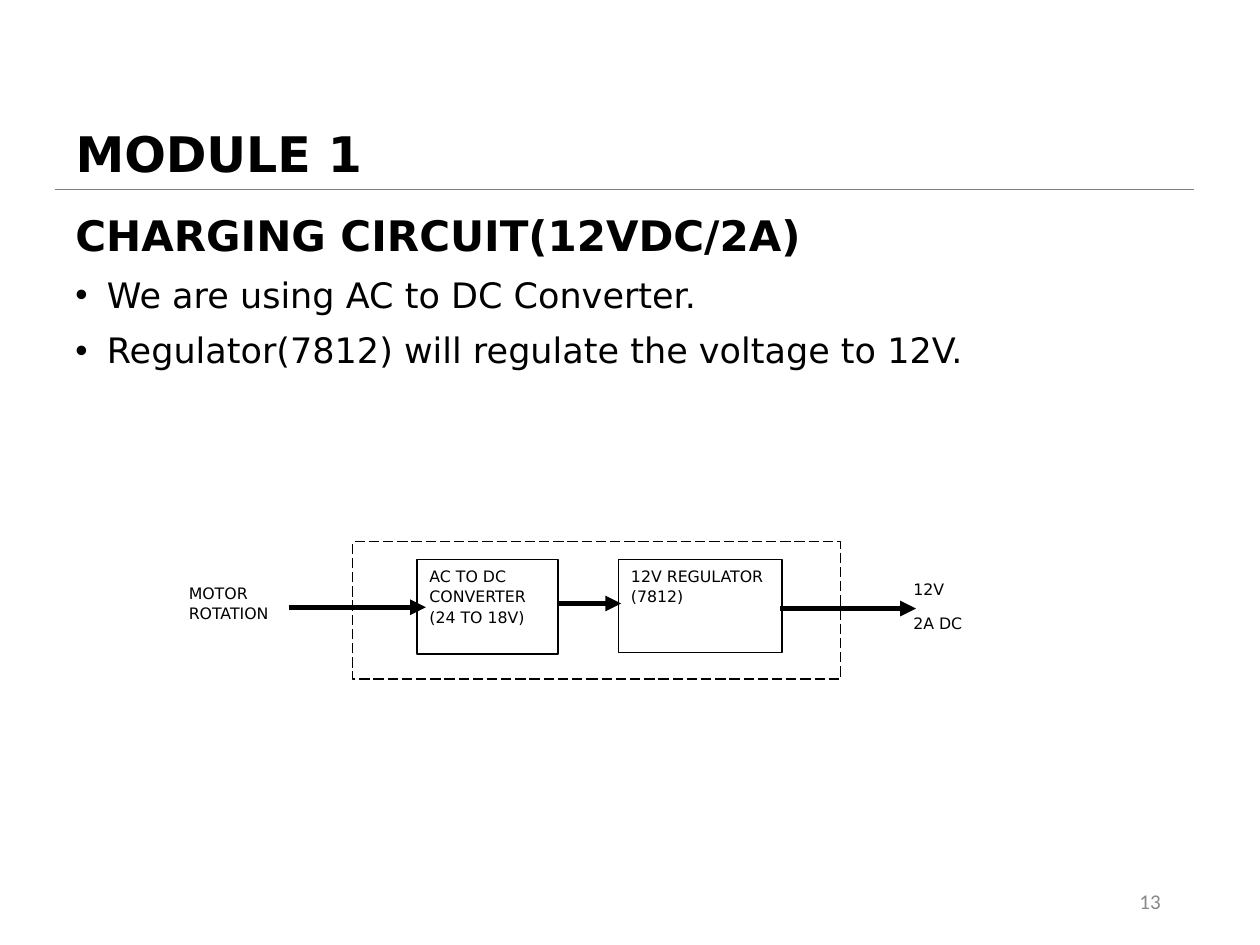
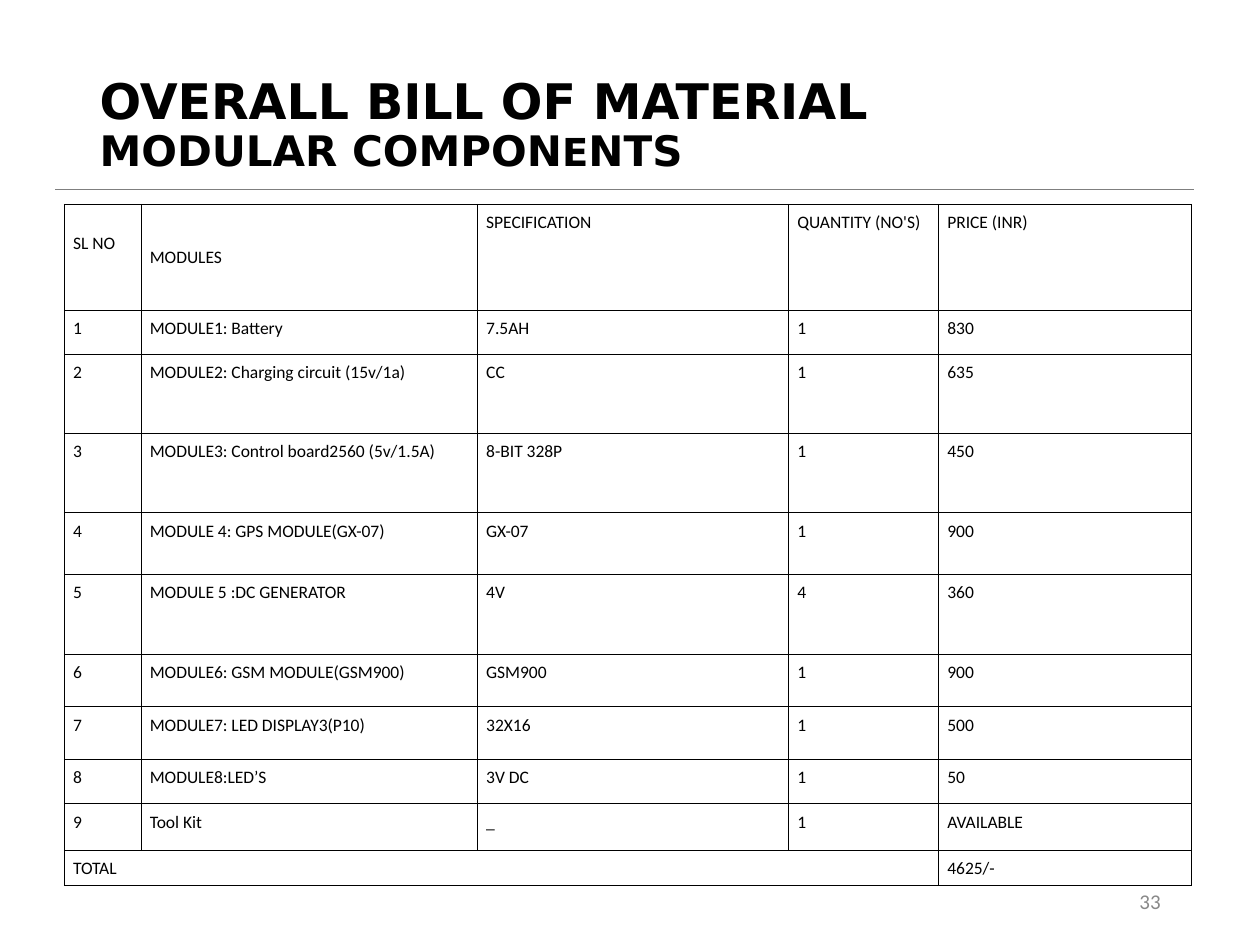
from dataclasses import dataclass

from lxml import etree
from pptx import Presentation
from pptx.dml.color import RGBColor
from pptx.enum.dml import MSO_LINE
from pptx.enum.shapes import MSO_CONNECTOR, MSO_SHAPE
from pptx.enum.text import MSO_ANCHOR, MSO_AUTO_SIZE, PP_ALIGN
from pptx.oxml.ns import qn
from pptx.util import Inches, Pt

LEFT, RIGHT, JUSTIFY = PP_ALIGN.LEFT, PP_ALIGN.RIGHT, PP_ALIGN.JUSTIFY
TOP, MIDDLE = MSO_ANCHOR.TOP, MSO_ANCHOR.MIDDLE
STRAIGHT, RECTANGLE, LONG_DASH = MSO_CONNECTOR.STRAIGHT, MSO_SHAPE.RECTANGLE, MSO_LINE.LONG_DASH
NO_AUTOFIT = MSO_AUTO_SIZE.NONE
TITLE_ONLY = 5


@dataclass(frozen=True)
class Theme:
    ink: RGBColor = RGBColor(0, 0, 0)
    paper: RGBColor = RGBColor(255, 255, 255)
    rule: RGBColor = RGBColor(0x7F, 0x7F, 0x7F)
    page_number: RGBColor = RGBColor(0x89, 0x89, 0x89)
    display_font: str = "DejaVu Sans"
    table_font: str = "Calibri"
    title_size: int = 28
    subtitle_size: int = 24
    small_capital_size: int = 22
    bullet_size: int = 20
    page_number_size: int = 12
    table_size: int = 10
    diagram_size: int = 9


THEME = Theme()
TIGHT = {"line_spacing": 0.9}
LOOSE = {"line_spacing": 1.07, "space_after": Pt(8)}

COLUMN_WIDTHS = [0.61, 2.67, 2.47, 1.19, 2.01]
ROW_HEIGHTS = [0.84, 0.35, 0.63, 0.63, 0.49, 0.63, 0.42, 0.42, 0.35, 0.37, 0.21]
MATERIALS = [
    ["SL NO", "MODULES", "SPECIFICATION", "QUANTITY (NO'S)", "PRICE (INR)"],
    ["1", "MODULE1: Battery", "7.5AH", "1", "830"],
    ["2", "MODULE2: Charging circuit (15v/1a)", "CC", "1", "635"],
    ["3", "MODULE3: Control board2560 (5v/1.5A)", "8-BIT 328P", "1", "450"],
    ["4", "MODULE 4: GPS MODULE(GX-07)", "GX-07", "1", "900"],
    ["5", "MODULE 5 :DC GENERATOR", "4V", "4", "360"],
    ["6", "MODULE6: GSM MODULE(GSM900)", "GSM900", "1", "900"],
    ["7", "MODULE7: LED DISPLAY3(P10)", "32X16", "1", "500"],
    ["8", "MODULE8:LED’S", "3V DC", "1", "50"],
    ["9", "Tool Kit", "_", "1", "AVAILABLE"],
    ["TOTAL", "", "", "", "4625/-"],
]


def apply_format(target, values):
    for name, value in values.items():
        setattr(target, name, value)


def box(left, top, width, height):
    return dict(zip(("left", "top", "width", "height"), map(Inches, (left, top, width, height))))


def add_run(paragraph, text, size, font=THEME.display_font, color=THEME.ink, bold=False):
    run = paragraph.add_run()
    run.text = text
    apply_format(run.font, {"name": font, "size": Pt(size), "bold": bold})
    run.font.color.rgb = color


def add_bullet(paragraph):
    properties = paragraph._p.get_or_add_pPr()
    properties.set("marL", str(Inches(0.25)))
    properties.set("indent", str(-Inches(0.25)))
    color = etree.SubElement(properties, qn("a:buClr"))
    etree.SubElement(color, qn("a:srgbClr")).set("val", str(THEME.ink))
    etree.SubElement(properties, qn("a:buFont")).set("typeface", "Arial")
    etree.SubElement(properties, qn("a:buChar")).set("char", "•")


def add_text_box(slide, bounds, anchor=TOP):
    frame = slide.shapes.add_textbox(*box(*bounds).values()).text_frame
    apply_format(frame, {"word_wrap": True, "vertical_anchor": anchor})
    return frame


def write_diagram_text(frame, lines):
    for index, line in enumerate(lines):
        paragraph = frame.add_paragraph() if index else frame.paragraphs[0]
        apply_format(paragraph, {"alignment": LEFT, **LOOSE})
        add_run(paragraph, line, THEME.diagram_size)


def add_rectangle(slide, bounds, line_width, fill=None, dash=None, label=None):
    shape = slide.shapes.add_shape(RECTANGLE, *box(*bounds).values())
    shape.shadow.inherit = False
    if fill is None:
        shape.fill.background()
    else:
        shape.fill.solid()
        shape.fill.fore_color.rgb = fill
    shape.line.color.rgb = THEME.ink
    apply_format(shape.line, {"width": Pt(line_width), "dash_style": dash})
    if label:
        apply_format(shape.text_frame, {"word_wrap": True, "vertical_anchor": TOP})
        write_diagram_text(shape.text_frame, [label])


def add_horizontal_line(slide, start, end, height, color, width, arrow=False):
    connector = slide.shapes.add_connector(
        STRAIGHT, Inches(start), Inches(height), Inches(end), Inches(height))
    connector.line.color.rgb = color
    connector.line.width = Pt(width)
    properties = connector.element.spPr
    if arrow:
        etree.SubElement(properties.find(qn("a:ln")), qn("a:tailEnd")).set("type", "triangle")
    etree.SubElement(properties, qn("a:effectLst"))


def add_titled_slide(presentation, title_bounds, title_lines, page_number):
    slide = presentation.slides.add_slide(presentation.slide_layouts[TITLE_ONLY])
    add_horizontal_line(slide, 0.44, 9.48, 1.5, THEME.rule, 0.5)
    title = slide.shapes.title
    apply_format(title, box(*title_bounds))
    apply_format(title.text_frame, {
        "word_wrap": True, "vertical_anchor": MIDDLE, "auto_size": NO_AUTOFIT})
    paragraph = title.text_frame.paragraphs[0]
    apply_format(paragraph, {"alignment": LEFT, **TIGHT})
    for index, line in enumerate(title_lines):
        if index:
            paragraph.add_line_break()
        for text, size in line:
            add_run(paragraph, text, size, bold=True)
    number = add_text_box(slide, (7.06, 6.95, 2.25, 0.4), MIDDLE).paragraphs[0]
    number.alignment = RIGHT
    add_run(number, page_number, THEME.page_number_size, THEME.table_font, THEME.page_number)
    return slide


def add_heading_with_bullets(slide, bounds, heading, bullets):
    frame = add_text_box(slide, bounds)
    apply_format(frame.paragraphs[0], TIGHT)
    add_run(frame.paragraphs[0], heading, THEME.subtitle_size, bold=True)
    for bullet in bullets:
        paragraph = frame.add_paragraph()
        apply_format(paragraph, {"alignment": JUSTIFY, "space_before": Pt(10), **TIGHT})
        add_bullet(paragraph)
        add_run(paragraph, bullet, THEME.bullet_size)


def add_cell_borders(cell):
    properties = cell._tc.get_or_add_tcPr()
    for side in ("lnL", "lnR", "lnT", "lnB"):
        line = etree.SubElement(properties, qn(f"a:{side}"))
        line.set("w", str(Pt(0.45)))
        fill = etree.SubElement(line, qn("a:solidFill"))
        etree.SubElement(fill, qn("a:srgbClr")).set("val", str(THEME.ink))


def add_materials_table(slide, left, top):
    bounds = box(left, top, sum(COLUMN_WIDTHS), sum(ROW_HEIGHTS))
    table = slide.shapes.add_table(
        len(ROW_HEIGHTS), len(COLUMN_WIDTHS), *bounds.values()).table
    apply_format(table, {"first_row": False, "horz_banding": False})
    for column, width in zip(table.columns, COLUMN_WIDTHS):
        column.width = Inches(width)
    for row, height, texts in zip(table.rows, ROW_HEIGHTS, MATERIALS):
        row.height = Inches(height)
        for cell, text in zip(row.cells, texts):
            apply_format(cell, {"margin_left": Inches(0.07), "margin_right": Inches(0.07),
                                "margin_top": Inches(0.05), "margin_bottom": Inches(0.05)})
            add_cell_borders(cell)
            cell.fill.background()
            if text:
                paragraph = cell.text_frame.paragraphs[0]
                apply_format(paragraph, LOOSE)
                add_run(paragraph, text, THEME.table_size, THEME.table_font)
    table.cell(0, 0).margin_top = Inches(0.22)
    table.cell(0, 1).vertical_anchor = MIDDLE
    last_row = len(ROW_HEIGHTS) - 1
    table.cell(last_row, 0).merge(table.cell(last_row, 3))


def add_charging_diagram(slide):
    add_rectangle(slide, (3.31, 4.44, 1.12, 0.75), 1, THEME.paper,
                  label="AC TO DC CONVERTER (24 TO 18V)")
    add_rectangle(slide, (4.91, 4.44, 1.3, 0.74), 1, THEME.paper,
                  label="12V REGULATOR (7812)")
    write_diagram_text(add_text_box(slide, (1.4, 4.57, 0.96, 0.55)), ["MOTOR ROTATION"])
    write_diagram_text(add_text_box(slide, (7.15, 4.54, 0.69, 0.55)), ["12V", "2A DC"])
    for start, end, height in ((2.29, 3.38, 4.82), (4.43, 4.93, 4.79), (6.19, 7.27, 4.83)):
        add_horizontal_line(slide, start, end, height, THEME.ink, 3, arrow=True)
    add_rectangle(slide, (2.8, 4.3, 3.87, 1.09), 0.75, dash=LONG_DASH)


def main():
    presentation = Presentation()
    apply_format(presentation, {"slide_width": Inches(10), "slide_height": Inches(7.5)})

    charging = add_titled_slide(
        presentation, (0.5, 0.52, 8.62, 1.45), [[("MODULE 1", THEME.title_size)]], "13")
    add_heading_with_bullets(
        charging, (0.5, 1.66, 8.62, 4.76), "CHARGING CIRCUIT(12VDC/2A)",
        ["We are using AC to DC Converter.", "Regulator(7812) will regulate the voltage to 12V."])
    add_charging_diagram(charging)

    materials = add_titled_slide(
        presentation, (0.69, 0.28, 8.63, 1.45),
        [[("OVERALL BILL OF MATERIAL", THEME.title_size)],
         [("MODULAR COMPON", THEME.subtitle_size), ("E", THEME.small_capital_size),
          ("NTS", THEME.subtitle_size)]], "33")
    add_materials_table(materials, 0.51, 1.62)

    presentation.save("out.pptx")


if __name__ == "__main__":
    main()
